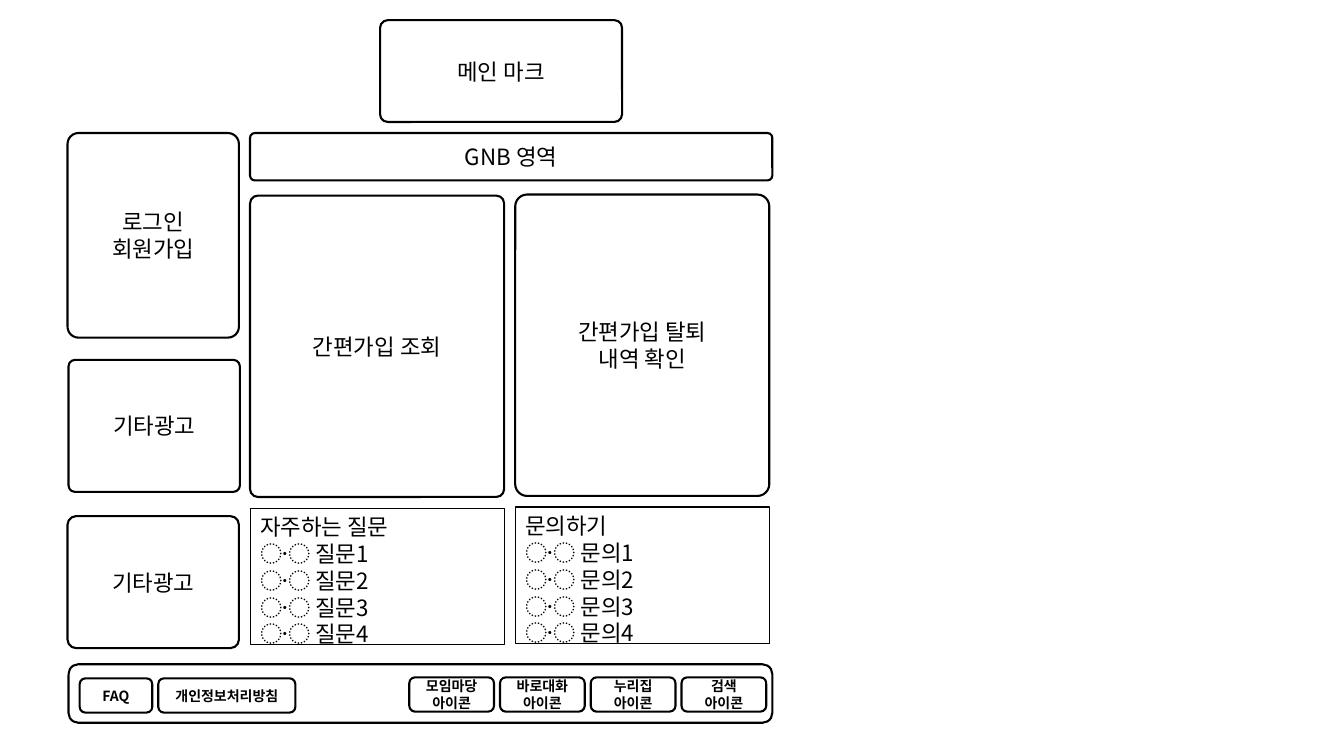
"""Build a wireframe slide of a sign-up lookup site."""
import pptx
import pptx.util
import pptx.dml.color
import pptx.enum.shapes
import pptx.enum.text
import lxml.etree
import dataclasses

Inches = pptx.util.Inches
Align = pptx.enum.text.PP_ALIGN
Anchor = pptx.enum.text.MSO_ANCHOR


@dataclasses.dataclass
class Theme:
    font: str = "Noto Sans CJK KR"
    ink: pptx.dml.color.RGBColor = pptx.dml.color.RGBColor(0, 0, 0)
    paper: pptx.dml.color.RGBColor = pptx.dml.color.RGBColor(255, 255, 255)
    main: int = 16
    small: int = 10
    thick: float = 1.5
    thin: float = 0.75


theme = Theme()


def write(shape, text, size=theme.main, bold=False, align=Align.CENTER, anchor=Anchor.MIDDLE):
    frame = shape.text_frame
    frame.word_wrap = True
    frame.vertical_anchor = anchor
    frame.text = text
    for para in frame.paragraphs:
        para.alignment = align
        para.space_before = pptx.util.Pt(0)
        for run in para.runs:
            run.font.size = pptx.util.Pt(size)
            run.font.bold = bold
            run.font.name = theme.font
            run.font.color.rgb = theme.ink
            props = run._r.get_or_add_rPr()
            east = lxml.etree.SubElement(props, pptx.oxml.ns.qn("a:ea"))
            east.set("typeface", theme.font)


def draw(shapes, left, top, width, height, round=None):
    box = shapes.add_shape(
        pptx.enum.shapes.MSO_SHAPE.ROUNDED_RECTANGLE,
        Inches(left), Inches(top), Inches(width), Inches(height))
    if round is not None:
        box.adjustments[0] = round
    box.shadow.inherit = False
    box.fill.solid()
    box.fill.fore_color.rgb = theme.paper
    box.line.color.rgb = theme.ink
    box.line.width = pptx.util.Pt(theme.thick)
    return box


deck = pptx.Presentation()
deck.slide_width, deck.slide_height = Inches(13.33), Inches(7.5)
slide = deck.slides.add_slide(deck.slide_layouts.get_by_name("Two Content"))
title = slide.shapes.title
title.element.getparent().remove(title.element)

side, mid, right = 0.67, 2.48, 5.11
panel = 2.52

areas = [
    ("메인 마크", 3.77, 0.2, 2.4, 1.01, 0.075),
    ("로그인\n회원가입", side, 1.32, 1.7, 2.03, 0.064),
    ("GNB 영역", mid, 1.32, 5.18, 0.47, 0.1),
    ("간편가입 조회", mid, 1.94, panel, 2.99, 0.031),
    ("간편가입 탈퇴\n내역 확인", right, 1.93, panel, 2.99, 0.047),
    ("기타광고", 0.68, 3.57, 1.7, 1.31, 0.049),
    ("기타광고", side, 5.12, 1.7, 1.31, 0.065),
]
for text, *place in areas:
    write(draw(slide.shapes, *place), text)

foot = slide.shapes.add_group_shape().shapes
draw(foot, 0.68, 6.59, 6.98, 0.58)
links = [("FAQ", 0.79, 6.73, 0.72), ("개인정보처리방침", 1.57, 6.73, 1.36)]
icons = ["모임마당", "바로대화", "누리집", "검색"]
links += [(f"{name}\n아이콘", 4.06 + 0.9 * i, 6.72, 0.84) for i, name in enumerate(icons)]
for text, left, top, width in links:
    write(draw(foot, left, top, width, 0.34), text, size=theme.small, bold=True)

lists = [("자주하는 질문", "질문", mid, 5.04), ("문의하기", "문의", right, 5.03)]
for body, (head, item, left, top) in zip(slide.placeholders, lists):
    body.left, body.top = Inches(left), Inches(top)
    body.width, body.height = Inches(panel), Inches(1.45)
    body.line.color.rgb = theme.ink
    body.line.width = pptx.util.Pt(theme.thin)
    lines = [head] + [f"〮 {item}{n}" for n in range(1, 5)]
    write(body, "\n".join(lines), align=Align.LEFT, anchor=Anchor.TOP)
    body.text_frame.auto_size = pptx.enum.text.MSO_AUTO_SIZE.SHAPE_TO_FIT_TEXT
    for para in body.text_frame.paragraphs:
        props = para._p.get_or_add_pPr()
        props.set("marL", "0")
        props.set("indent", "0")
        lxml.etree.SubElement(props, pptx.oxml.ns.qn("a:buNone"))

deck.save("out.pptx")
